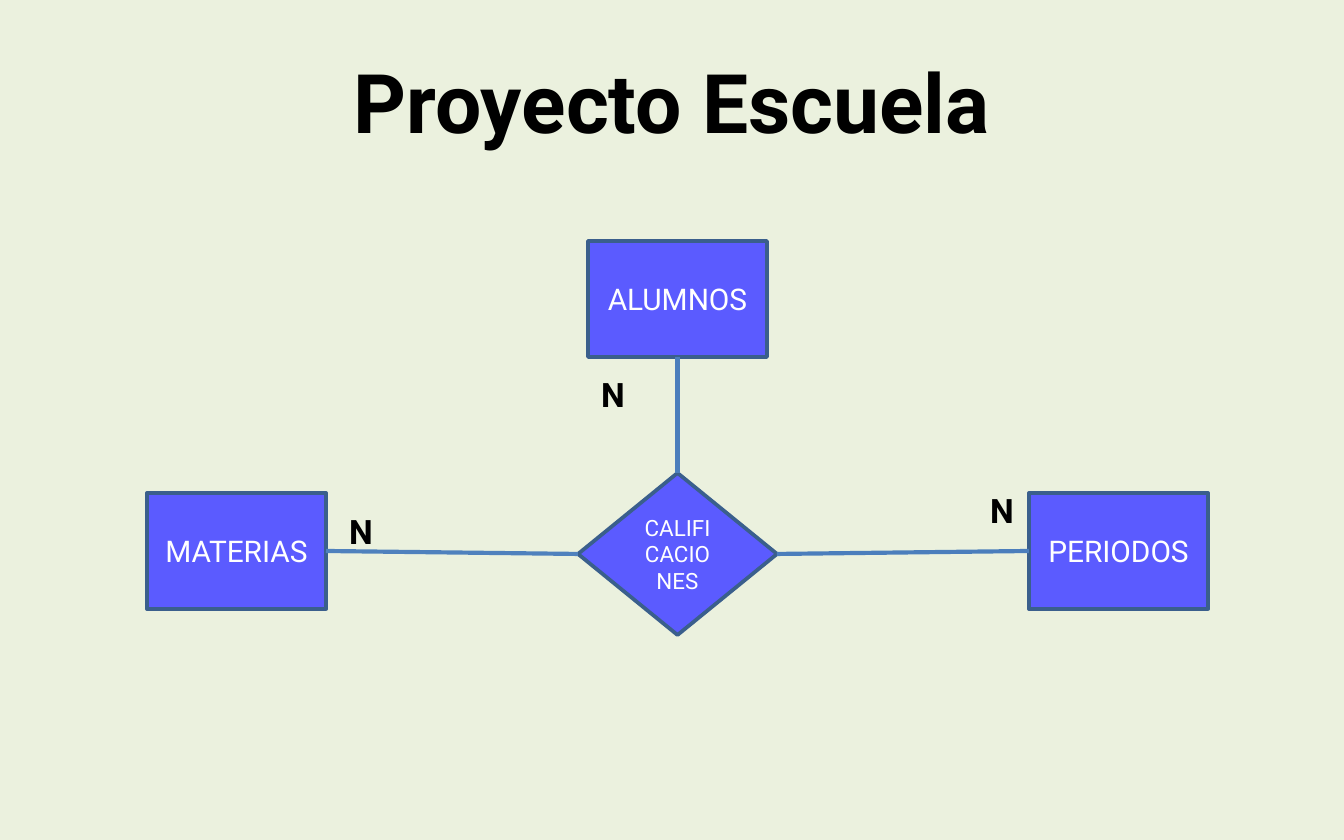
from lxml import etree
from pptx import Presentation
from pptx.dml.color import RGBColor
from pptx.enum.shapes import MSO_CONNECTOR as Connector, MSO_SHAPE as Shape
from pptx.enum.text import MSO_ANCHOR as Anchor, PP_ALIGN as Align
from pptx.oxml.ns import qn
from pptx.util import Pt

EMU_PER_PX = 914400 / 134.4
FONT = "Roboto"
COLORS = {
    "background": "EBF1DE",
    "fill": "5B5BFF",
    "outline": "3A5F8C",
    "first_link": "4F81BD",
    "link": "4B7EBC",
    "dark": "000000",
    "light": "FFFFFF",
}
ENTITY_SIZE = (179, 116)
TOP, LEFT, BOTTOM, RIGHT = range(4)


def px(value):
    return round(value * EMU_PER_PX)


def color(name):
    return RGBColor.from_string(COLORS[name])


def write(shape, text, size, ink="dark", bold=False, align=Align.CENTER, anchor=Anchor.MIDDLE):
    frame = shape.text_frame
    frame.word_wrap = True
    frame.vertical_anchor = anchor
    paragraph = frame.paragraphs[0]
    paragraph.alignment = align
    run = paragraph.add_run()
    run.text = text
    run.font.name = FONT
    run.font.size = Pt(size)
    run.font.bold = bold
    run.font.color.rgb = color(ink)


def add_node(slide, kind, text, left, top, width, height, size):
    shape = slide.shapes.add_shape(kind, px(left), px(top), px(width), px(height))
    shape.shadow.inherit = False
    shape.fill.solid()
    shape.fill.fore_color.rgb = color("fill")
    shape.line.color.rgb = color("outline")
    shape.line.width = Pt(2)
    write(shape, text, size, ink="light")
    return shape


def add_entity(slide, text, left, top):
    return add_node(slide, Shape.RECTANGLE, text, left, top, *ENTITY_SIZE, size=16)


def add_link(slide, start, start_side, end, end_side, ink="link"):
    connector = slide.shapes.add_connector(Connector.STRAIGHT, 0, 0, 0, 0)
    connector.begin_connect(start, start_side)
    connector.end_connect(end, end_side)
    connector.line.color.rgb = color(ink)
    connector.line.width = Pt(2.25)
    etree.SubElement(connector.element.spPr, qn("a:effectLst"))


def add_text(slide, text, left, top, width, height, **text_format):
    box = slide.shapes.add_textbox(px(left), px(top), px(width), px(height))
    write(box, text, **text_format)
    return box


def add_cardinality(slide, left, top):
    box = add_text(slide, "N", left, top, 42, 54, size=18, bold=True,
                   align=Align.LEFT, anchor=Anchor.TOP)
    box.text_frame.margin_right = 0


def main():
    presentation = Presentation()
    presentation.slide_width, presentation.slide_height = px(1344), px(840)
    slide = presentation.slides.add_slide(presentation.slide_layouts[6])
    slide.background.fill.solid()
    slide.background.fill.fore_color.rgb = color("background")

    # Title
    add_text(slide, "Proyecto Escuela", 67, 34, 1210, 134, size=44, bold=True)

    # Entities around the relationship
    students = add_entity(slide, "ALUMNOS", 588, 241)
    subjects = add_entity(slide, "MATERIAS", 147, 493)
    periods = add_entity(slide, "PERIODOS", 1029, 493)
    grades = add_node(slide, Shape.DIAMOND, "CALIFICACIONES", 578, 473, 199, 162, size=12)

    # Links
    add_link(slide, subjects, RIGHT, grades, LEFT, ink="first_link")
    add_link(slide, grades, RIGHT, periods, LEFT)
    add_link(slide, grades, TOP, students, BOTTOM)

    # Cardinalities
    for left, top in ((588, 367), (336, 504), (977, 483)):
        add_cardinality(slide, left, top)

    presentation.save("out.pptx")


if __name__ == "__main__":
    main()
